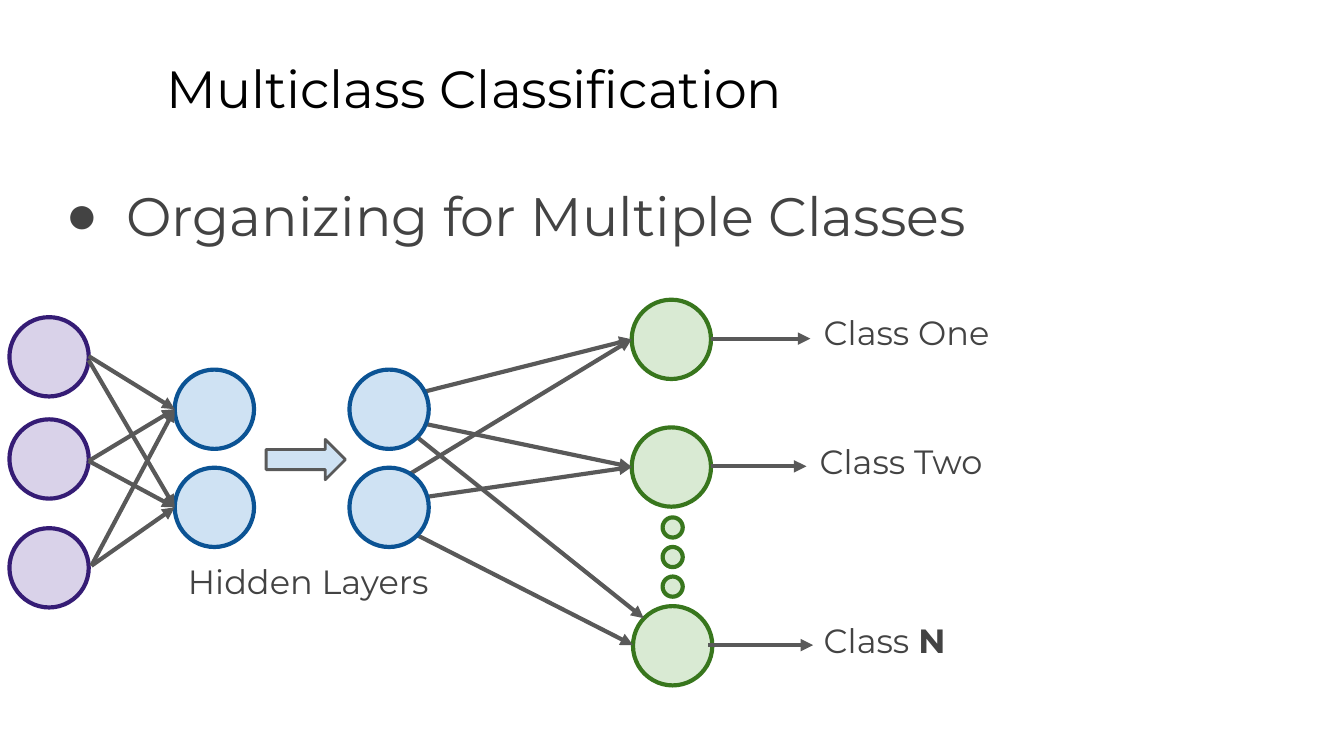
"""Build a slide showing a neural network laid out for multiclass classification."""
from lxml import etree
from pptx import Presentation
from pptx.dml.color import RGBColor
from pptx.enum import shapes, text
from pptx.oxml import ns
from pptx.util import Inches, Pt

FONT, BULLET_FONT = "Montserrat", "Arial"
BLACK = RGBColor(0x00, 0x00, 0x00)
TEXT_GRAY = RGBColor(0x43, 0x43, 0x43)
LINE_GRAY = RGBColor(0x59, 0x59, 0x59)
GREEN, DARK_GREEN = RGBColor(0xD9, 0xEA, 0xD3), RGBColor(0x38, 0x76, 0x1D)
BLUE, DARK_BLUE = RGBColor(0xCF, 0xE2, 0xF3), RGBColor(0x0B, 0x53, 0x94)
PURPLE, DARK_PURPLE = RGBColor(0xD9, 0xD2, 0xE9), RGBColor(0x35, 0x1C, 0x75)

NODE, DOT = 0.59, 0.15
INPUTS = [(0.07, 2.36), (0.07, 3.12), (0.07, 3.93)]
FIRST_HIDDEN = [(1.3, 2.75), (1.3, 3.48)]
LAST_HIDDEN = [(2.6, 2.75), (2.6, 3.48)]
OUTPUTS = [(4.7, 2.23), (4.7, 3.18), (4.71, 4.51)]
DOTS = [(4.93, 3.85 + 0.22 * step) for step in range(3)]

INPUT_STARTS = [
    [(0.66, 2.65), (0.66, 2.68)],
    [(0.66, 3.43), (0.66, 3.43)],
    [(0.68, 4.21), (0.68, 4.21)],
]
LAST_ENDS = [(4.79, 4.6), (4.71, 4.8)]
CLASS_ARROWS = [
    ((5.29, 2.52), (6.03, 2.52)),
    ((5.29, 3.47), (6, 3.47)),
    ((5.27, 4.8), (6.05, 4.8)),
]
LABELS = [
    (1.3, 4.07, [("Hidden Layers", False)]),
    (6.03, 2.22, [("Class One", False)]),
    (6, 3.18, [("Class Two", False)]),
    (6.03, 4.51, [("Class ", False), ("N", True)]),
]


def add_shape(slide, kind, place, fill, line, weight=2.25):
    shape = slide.shapes.add_shape(kind, *map(Inches, place))
    shape.shadow.inherit = False
    shape.fill.solid()
    shape.fill.fore_color.rgb = fill
    shape.line.color.rgb = line
    shape.line.width = Pt(weight)


def add_circles(slide, corners, size, fill, line):
    for left, top in corners:
        add_shape(slide, shapes.MSO_SHAPE.OVAL, (left, top, size, size), fill, line)


def add_arrow(slide, start, end):
    arrow = slide.shapes.add_connector(
        shapes.MSO_CONNECTOR.STRAIGHT, *map(Inches, (*start, *end)))
    arrow.line.color.rgb = LINE_GRAY
    arrow.line.width = Pt(2.25)
    etree.SubElement(arrow.line._get_or_add_ln(), ns.qn("a:tailEnd"), type="triangle")
    etree.SubElement(arrow._element.spPr, ns.qn("a:effectLst"))


def write(box, place, spans, size, color):
    box.left, box.top, box.width, box.height = map(Inches, place)
    frame = box.text_frame
    frame.word_wrap = True
    frame.auto_size = text.MSO_AUTO_SIZE.NONE
    frame.vertical_anchor = text.MSO_ANCHOR.TOP
    frame.margin_left = frame.margin_right = Inches(0.1)
    frame.margin_top = frame.margin_bottom = Inches(0.1)
    para = frame.paragraphs[0]
    para.alignment = text.PP_ALIGN.LEFT
    para.line_spacing = 1.0
    para.font.name, para.font.size = FONT, Pt(size)
    para.font.color.rgb = color
    for words, bold in spans:
        span = para.add_run()
        span.text = words
        if bold:
            span.font.bold = True
    return para


def add_text(slide, place, spans, size):
    box = slide.shapes.add_textbox(*map(Inches, place))
    return write(box, place, spans, size, TEXT_GRAY)


def add_bullet(para):
    props = para._p.get_or_add_pPr()
    props.set("marL", str(Inches(0.5)))
    props.set("indent", str(Inches(-0.45)))
    color = etree.SubElement(props, ns.qn("a:buClr"))
    etree.SubElement(color, ns.qn("a:srgbClr"), val=str(TEXT_GRAY))
    etree.SubElement(props, ns.qn("a:buFont"), typeface=BULLET_FONT)
    bullet = etree.SubElement(props, ns.qn("a:buChar"), char="●")
    bullet.addnext(props.find(ns.qn("a:defRPr")))


def left_side(corner):
    return corner[0], corner[1] + NODE / 2


def main():
    deck = Presentation()
    deck.slide_width = Inches(10)
    deck.slide_height = deck.slide_width * 9 // 16
    slide = deck.slides.add_slide(deck.slide_layouts[5])
    write(slide.shapes.title, (1.14, 0.32, 8.52, 0.63),
          [("Multiclass Classification", False)], 28, BLACK)
    add_bullet(add_text(slide, (0.34, 1.26, 9.5, 0.79),
                        [("Organizing for Multiple Classes", False)], 29))

    add_circles(slide, OUTPUTS, NODE, GREEN, DARK_GREEN)
    for (left, top), last_end in zip(LAST_HIDDEN, LAST_ENDS):
        for output in OUTPUTS[:2]:
            add_arrow(slide, (left + 0.04, top + NODE / 2), left_side(output))
        add_arrow(slide, (left + 0.5, top + 0.5), last_end)
    for start, end in CLASS_ARROWS:
        add_arrow(slide, start, end)

    add_circles(slide, LAST_HIDDEN, NODE, BLUE, DARK_BLUE)
    add_circles(slide, INPUTS, NODE, PURPLE, DARK_PURPLE)
    add_circles(slide, FIRST_HIDDEN, NODE, BLUE, DARK_BLUE)
    for starts in INPUT_STARTS:
        for start, hidden in zip(starts, FIRST_HIDDEN):
            add_arrow(slide, start, left_side(hidden))
    add_shape(slide, shapes.MSO_SHAPE.RIGHT_ARROW, (1.98, 3.27, 0.59, 0.3),
              BLUE, LINE_GRAY, 1.5)
    add_circles(slide, DOTS, DOT, GREEN, DARK_GREEN)
    for left, top, spans in LABELS:
        add_text(slide, (left, top, 2.14, 0.59), spans, 18).space_after = Pt(16)
    deck.save("out.pptx")


if __name__ == "__main__":
    main()
